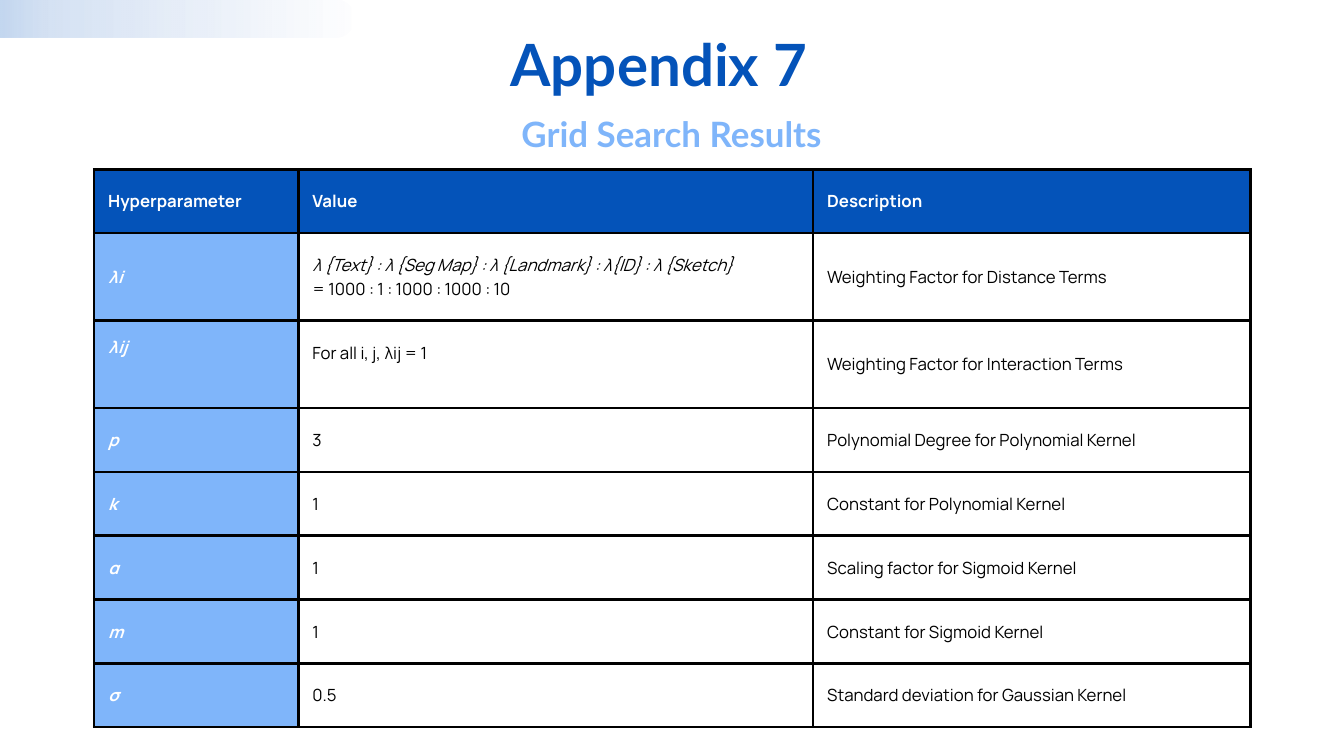
import dataclasses
import lxml.etree
import pptx
import pptx.dml.color
import pptx.enum.shapes
import pptx.enum.text
import pptx.oxml
import pptx.oxml.ns
import pptx.util

COLS, ROWS = 20, 11.25
WIDTHS = [3.04, 7.66, 6.51]
HEIGHTS = [0.95, 1.3, 1.3] + [0.95] * 5
HEAD = ["Hyperparameter", "Value", "Description"]
BODY = [
    ["λi", "λ {Text} : λ {Seg Map} : λ {Landmark} : λ{ID} : λ {Sketch}\n= 1000 : 1 : 1000 : 1000 : 10",
     "Weighting Factor for Distance Terms"],
    ["λij", "For all i, j, λij = 1", "Weighting Factor for Interaction Terms"],
    ["p", "3", "Polynomial Degree for Polynomial Kernel"],
    ["k", "1", "Constant for Polynomial Kernel"],
    ["α", "1", "Scaling factor for Sigmoid Kernel"],
    ["m", "1", "Constant for Sigmoid Kernel"],
    ["σ", "0.5", "Standard deviation for Gaussian Kernel"],
]


@dataclasses.dataclass
class Theme:
    """Colours, fonts and type sizes of the slide."""
    navy: str = "0453B9"
    sky: str = "7FB5FA"
    white: str = "FFFFFF"
    black: str = "000000"
    fade: tuple = ((0, "398DFA", 70), (50, "0151B8", 17), (100, "0151B8", 0))
    head: str = "Lato"
    body: str = "Manrope"
    title: float = 62.4
    sub: float = 37.4
    cell: float = 18
    lead: float = 25.2
    pad: float = 0.21
    rule: float = 3


class Deck:
    """Holds the theme and the current slide and draws each kind of element."""

    def __init__(self, theme):
        """Open a deck with one title-only slide."""
        self.theme = theme
        self.file = pptx.Presentation()
        self.file.slide_width = pptx.util.Inches(COLS)
        self.file.slide_height = pptx.util.Inches(ROWS)
        self.slide = self.file.slides.add_slide(self.file.slide_layouts[5])

    def span(self, cols):
        """Turn grid columns into a length."""
        return int(self.file.slide_width * cols / COLS)

    def drop(self, rows):
        """Turn grid rows into a length."""
        return int(self.file.slide_height * rows / ROWS)

    def area(self, left, top, wide, high):
        """Turn a grid box into slide lengths."""
        return self.span(left), self.drop(top), self.span(wide), self.drop(high)

    def style(self, para, font, size, tint, lead, bold=False, slant=False):
        """Format one paragraph and its runs."""
        para.line_spacing = pptx.util.Pt(lead)
        para.space_before = pptx.util.Pt(0)
        for run in para.runs:
            run.font.name = font
            run.font.size = pptx.util.Pt(size)
            run.font.bold = bold
            run.font.italic = slant
            run.font.color.rgb = pptx.dml.color.RGBColor.from_string(tint)

    def line(self, shape, text, size, tint, lead):
        """Fill a heading shape with one centred line."""
        frame = shape.text_frame
        frame.text = text
        frame.word_wrap = True
        frame.auto_size = pptx.enum.text.MSO_AUTO_SIZE.NONE
        frame.vertical_anchor = pptx.enum.text.MSO_ANCHOR.TOP
        frame.margin_left = frame.margin_right = frame.margin_top = frame.margin_bottom = 0
        para = frame.paragraphs[0]
        para.alignment = pptx.enum.text.PP_ALIGN.CENTER
        self.style(para, self.theme.head, size, tint, lead, bold=True)

    def title(self, text, box):
        """Place and format the title."""
        shape = self.slide.shapes.title
        shape.left, shape.top, shape.width, shape.height = self.area(*box)
        self.line(shape, text, self.theme.title, self.theme.navy, 71.8)

    def label(self, text, box):
        """Add the subtitle."""
        shape = self.slide.shapes.add_textbox(*self.area(*box))
        self.line(shape, text, self.theme.sub, self.theme.sky, 43)

    def band(self, box):
        """Add a rounded bar that fades out to the right."""
        kind = pptx.enum.shapes.MSO_SHAPE.ROUNDED_RECTANGLE
        shape = self.slide.shapes.add_shape(kind, *self.area(*box))
        shape.adjustments[0] = 0.5
        shape.shadow.inherit = False
        shape.line.fill.background()
        shape.fill.gradient()
        shape.fill.gradient_angle = 0
        name = pptx.oxml.ns.qn
        stops = next(shape.element.iter(name("a:gsLst")))
        for stop in list(stops):
            stops.remove(stop)
        for place, tint, share in self.theme.fade:
            stop = lxml.etree.SubElement(stops, name("a:gs"), pos=str(place * 1000))
            tone = lxml.etree.SubElement(stop, name("a:srgbClr"), val=tint)
            lxml.etree.SubElement(tone, name("a:alpha"), val=str(share * 1000))

    def edge(self, cell):
        """Draw all four borders of a cell."""
        name = pptx.oxml.ns.qn
        props = cell._tc.get_or_add_tcPr()
        for side in "LRTB":
            rule = lxml.etree.SubElement(props, name("a:ln" + side), w=str(pptx.util.Pt(self.theme.rule)))
            fill = lxml.etree.SubElement(rule, name("a:solidFill"))
            lxml.etree.SubElement(fill, name("a:srgbClr"), val=self.theme.black)

    def cell(self, cell, text, fill, tint, bold, slant):
        """Fill and format one table cell."""
        theme = self.theme
        self.edge(cell)
        if fill:
            cell.fill.solid()
            cell.fill.fore_color.rgb = pptx.dml.color.RGBColor.from_string(fill)
        else:
            cell.fill.background()
        cell.vertical_anchor = pptx.enum.text.MSO_ANCHOR.MIDDLE
        cell.margin_left = cell.margin_right = self.span(theme.pad)
        cell.margin_top = cell.margin_bottom = self.drop(theme.pad)
        cell.text_frame.text = text
        for spot, para in enumerate(cell.text_frame.paragraphs):
            first = spot == 0 and len(cell.text_frame.paragraphs) > 1
            self.style(para, theme.body, theme.cell, tint, theme.lead, bold, slant or first)

    def table(self, left, top):
        """Add the table of settings and return it."""
        theme = self.theme
        box = self.area(left, top, sum(WIDTHS), sum(HEIGHTS))
        table = self.slide.shapes.add_table(len(HEIGHTS), len(WIDTHS), *box).table
        table.first_row = table.horz_banding = False
        for col, wide in zip(table.columns, WIDTHS):
            col.width = self.span(wide)
        for row, high in zip(table.rows, HEIGHTS):
            row.height = self.drop(high)
        for r, texts in enumerate([HEAD] + BODY):
            for c, text in enumerate(texts):
                key = r > 0 and c == 0
                fill = theme.navy if r == 0 else theme.sky if key else None
                tint = theme.white if fill else theme.black
                self.cell(table.cell(r, c), text, fill, tint, bool(fill), key)
        return table


def main():
    """Build and save the slide."""
    deck = Deck(Theme())
    deck.title("Appendix 7", (3.97, 0.47, 11.67, 1))
    deck.label("Grid Search Results", (2.12, 1.7, 15.75, 0.61))
    deck.band((-4.02, -0.01, 9.3, 0.57))
    table = deck.table(1.4, 2.52)
    table.cell(2, 0).vertical_anchor = pptx.enum.text.MSO_ANCHOR.TOP
    table.cell(2, 1).margin_bottom = deck.drop(0.56)
    deck.file.save("out.pptx")


if __name__ == "__main__":
    main()
